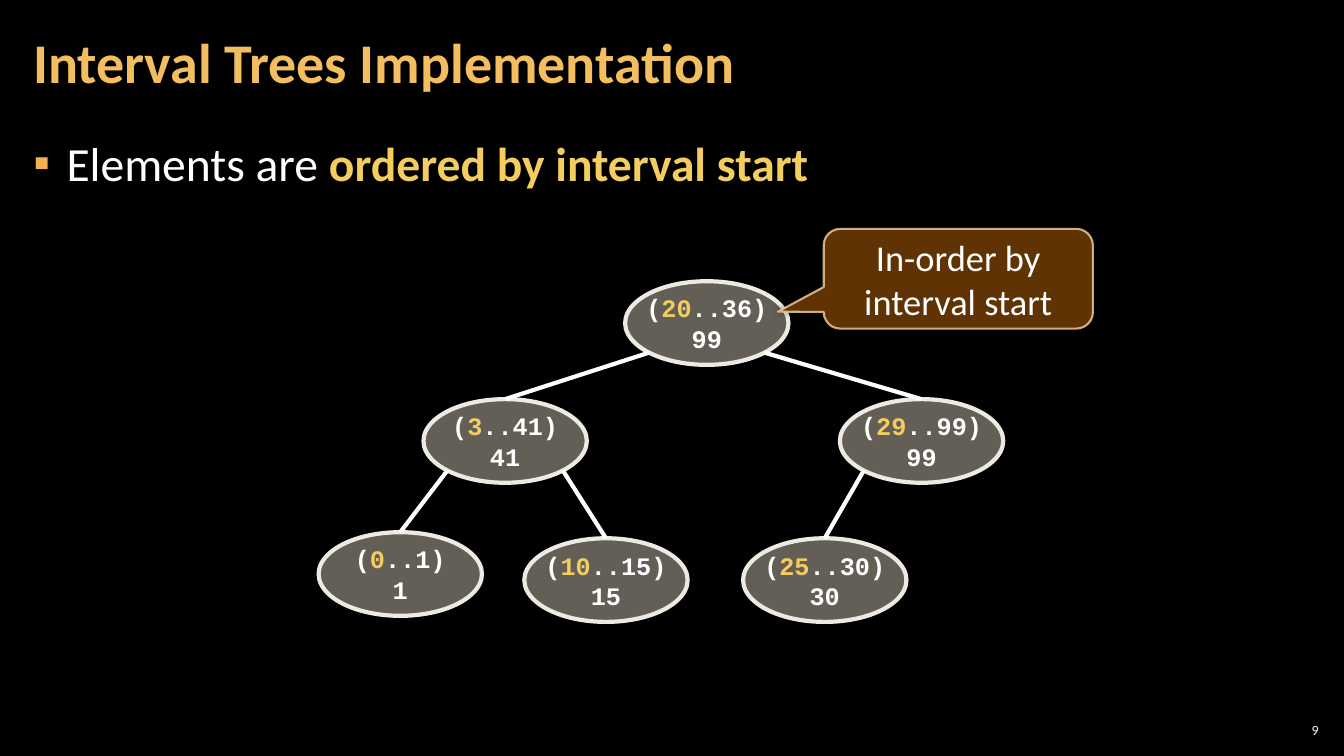
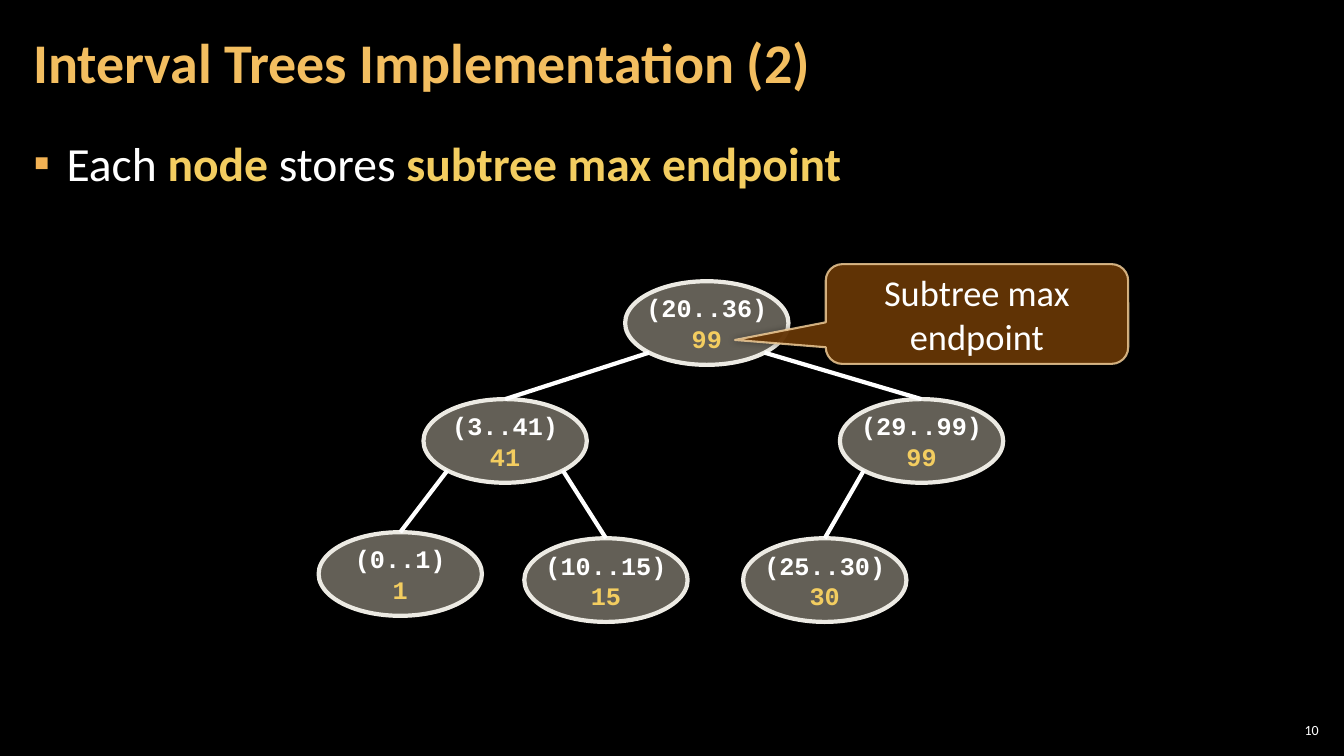
from math import sqrt

from lxml.etree import SubElement
from pptx import Presentation
from pptx.dml.color import RGBColor
from pptx.enum.shapes import MSO_CONNECTOR, MSO_SHAPE
from pptx.enum.text import MSO_ANCHOR, MSO_AUTO_SIZE, PP_ALIGN
from pptx.oxml.ns import qn
from pptx.util import Inches, Pt

COLORS = {
    "background": "000000",
    "text": "FFFFFF",
    "title": "F3BE60",
    "highlight": "F3CD60",
    "bullet": "F2B254",
    "node": "C7BFAC",
    "node_line": "ECEAE3",
    "callout": "663606",
    "callout_line": "F8D49E",
    "shadow": "000000",
}
BODY_FONT = "Calibri"
CODE_FONT = "Courier New"

NODE_WIDTH, NODE_HEIGHT = 1.62, 0.83
# key: (left, top, interval start, interval end, subtree maximum)
NODES = {
    "root": (6.2, 2.79, 20, 36, 99),
    "right": (8.33, 3.96, 29, 99, 99),
    "left": (4.2, 3.96, 3, 41, 41),
    "left_left": (3.16, 5.28, 0, 1, 1),
    "left_right": (5.2, 5.34, 10, 15, 15),
    "right_left": (7.37, 5.34, 25, 30, 30),
}
EDGES = [
    ("left", "left_left"),
    ("left", "left_right"),
    ("right", "right_left"),
    ("root", "left"),
    ("root", "right"),
]
START_TEMPLATE = "(*{start}*..{end})\n{maximum}"
MAXIMUM_TEMPLATE = "({start}..{end})\n*{maximum}*"


def rgb(name):
    return RGBColor.from_string(COLORS[name])


def set_alpha(properties, percent):
    """Make the solid fill held by a spPr or ln element translucent."""
    color = properties.find(qn("a:solidFill"))[0]
    SubElement(color, qn("a:alpha")).set("val", str(percent * 1000))


def style_run(run, size, color="text", bold=False, font=BODY_FONT):
    run.font.name = font
    run.font.size = Pt(size)
    run.font.bold = bold
    run.font.color.rgb = rgb(color)


def write_marked(paragraph, text, size, bold=False, font=BODY_FONT):
    """Write text in which *asterisks* enclose highlighted bold words."""
    for index, part in enumerate(text.split("*")):
        if part:
            run = paragraph.add_run()
            run.text = part
            marked = index % 2 == 1
            style_run(run, size, "highlight" if marked else "text", bold or marked, font)


def place(shape, left, top, width, height):
    shape.left, shape.top = Inches(left), Inches(top)
    shape.width, shape.height = Inches(width), Inches(height)


def set_frame(text_frame, anchor, side, edge=0.04):
    text_frame.auto_size = MSO_AUTO_SIZE.NONE
    text_frame.word_wrap = True
    text_frame.vertical_anchor = anchor
    text_frame.margin_left = text_frame.margin_right = Inches(side)
    text_frame.margin_top = text_frame.margin_bottom = Inches(edge)


def prepare_layout(presentation):
    """Set the background and the title and body areas that all slides inherit."""
    fill = presentation.slide_master.background.fill
    fill.solid()
    fill.fore_color.rgb = rgb("background")
    layout = presentation.slide_layouts[1]
    title, body = layout.placeholders[0], layout.placeholders[1]
    place(title, 0.21, 0.04, 10.47, 1.21)
    place(body, 0.21, 1.26, 12.91, 6.09)
    set_frame(title.text_frame, MSO_ANCHOR.MIDDLE, 0.12)
    set_frame(body.text_frame, MSO_ANCHOR.TOP, 0.12)
    return layout


def fill_title(slide, text):
    slide.shapes.title.text_frame.text = text
    paragraph = slide.shapes.title.text_frame.paragraphs[0]
    paragraph.alignment = PP_ALIGN.LEFT
    paragraph.line_spacing = 0.9
    style_run(paragraph.runs[0], 40, "title", bold=True)


def fill_body(slide, text):
    paragraph = slide.placeholders[1].text_frame.paragraphs[0]
    write_marked(paragraph, text, 34)
    paragraph.line_spacing = 1.05
    paragraph.space_before = paragraph.space_after = Pt(6)
    properties = paragraph._p.get_or_add_pPr()
    properties.set("marL", str(Inches(0.33)))
    properties.set("indent", str(-Inches(0.33)))
    bullet_color = SubElement(properties, qn("a:buClr"))
    SubElement(bullet_color, qn("a:srgbClr")).set("val", COLORS["bullet"])
    SubElement(properties, qn("a:buChar")).set("char", "▪")


def add_slide_number(slide, number):
    box = slide.shapes.add_textbox(Inches(12.65), Inches(7.14), Inches(0.47), Inches(0.21))
    set_frame(box.text_frame, MSO_ANCHOR.MIDDLE, 0.04)
    paragraph = box.text_frame.paragraphs[0]
    paragraph.text = str(number)
    paragraph.alignment = PP_ALIGN.RIGHT
    style_run(paragraph.runs[0], 10)


def add_filled_shape(slide, kind, area, fill, alpha, line, line_width):
    shape = slide.shapes.add_shape(kind, *(Inches(length) for length in area))
    shape.shadow.inherit = False
    shape.fill.solid()
    shape.fill.fore_color.rgb = rgb(fill)
    set_alpha(shape.element.spPr, alpha)
    shape.line.color.rgb = rgb(line)
    shape.line.width = Pt(line_width)
    shape.text_frame.vertical_anchor = MSO_ANCHOR.MIDDLE
    return shape


def add_node(slide, left, top, text):
    area = (left, top, NODE_WIDTH, NODE_HEIGHT)
    node = add_filled_shape(slide, MSO_SHAPE.OVAL, area, "node", 50, "node_line", 3)
    frame = node.text_frame
    frame.word_wrap = False
    for index, line in enumerate(text.split("\n")):
        paragraph = frame.add_paragraph() if index else frame.paragraphs[0]
        paragraph.alignment = PP_ALIGN.CENTER
        write_marked(paragraph, line, 18, bold=True, font=CODE_FONT)
    return node


def add_edge(slide, parent, child):
    """Join the top of the child to the parent's lower diagonal on the child's side."""
    side = 1 if child.left > parent.left else -1
    diagonal = 1 / (2 * sqrt(2))
    end_x = parent.left + int(parent.width * (0.5 + side * diagonal))
    end_y = parent.top + int(parent.height * (0.5 + diagonal))
    edge = slide.shapes.add_connector(
        MSO_CONNECTOR.STRAIGHT, child.left + child.width // 2, child.top, end_x, end_y
    )
    edge.begin_connect(child, 0)
    edge.line.color.rgb = rgb("text")
    edge.line.width = Pt(3)
    SubElement(edge._element.spPr, qn("a:effectLst"))


def add_tree(slide, template):
    nodes = {}
    for key, (left, top, start, end, maximum) in NODES.items():
        text = template.format(start=start, end=end, maximum=maximum)
        nodes[key] = add_node(slide, left, top, text)
    for parent, child in EDGES:
        add_edge(slide, nodes[parent], nodes[child])


def add_glow_shadow(shape):
    """Put a soft dark shadow evenly around the shape."""
    effects = shape.element.spPr.find(qn("a:effectLst"))
    shadow = SubElement(effects, qn("a:outerShdw"), blurRad=str(Pt(5)), dist="0", dir="0")
    color = SubElement(shadow, qn("a:srgbClr"), val=COLORS["shadow"])
    SubElement(color, qn("a:alpha"), val="40000")


def add_callout(slide, text, area, tip):
    callout = add_filled_shape(
        slide, MSO_SHAPE.ROUNDED_RECTANGULAR_CALLOUT, area, "callout", 95, "callout_line", 1.5
    )
    set_alpha(callout.element.spPr.find(qn("a:ln")), 80)
    add_glow_shadow(callout)
    callout.adjustments[0], callout.adjustments[1] = tip
    callout.text_frame.word_wrap = True
    paragraph = callout.text_frame.paragraphs[0]
    paragraph.text = text
    paragraph.alignment = PP_ALIGN.CENTER
    style_run(paragraph.runs[0], 26)


def add_tree_slide(presentation, layout, number, title, body, template, callout):
    slide = presentation.slides.add_slide(layout)
    fill_title(slide, title)
    fill_body(slide, body)
    add_slide_number(slide, number)
    add_tree(slide, template)
    add_callout(slide, *callout)


def main():
    presentation = Presentation()
    presentation.slide_width, presentation.slide_height = Inches(13.33), Inches(7.5)
    layout = prepare_layout(presentation)
    add_tree_slide(
        presentation, layout, 9,
        "Interval Trees Implementation",
        "Elements are *ordered by interval start*",
        START_TEMPLATE,
        ("In-order by interval start", (8.17, 2.27, 2.67, 0.99), (-0.67, 0.33)),
    )
    add_tree_slide(
        presentation, layout, 10,
        "Interval Trees Implementation (2)",
        "Each *node* stores *subtree max endpoint*",
        MAXIMUM_TEMPLATE,
        ("Subtree max endpoint", (8.19, 2.62, 3, 0.99), (-0.8, 0.26)),
    )
    presentation.save("out.pptx")


if __name__ == "__main__":
    main()
